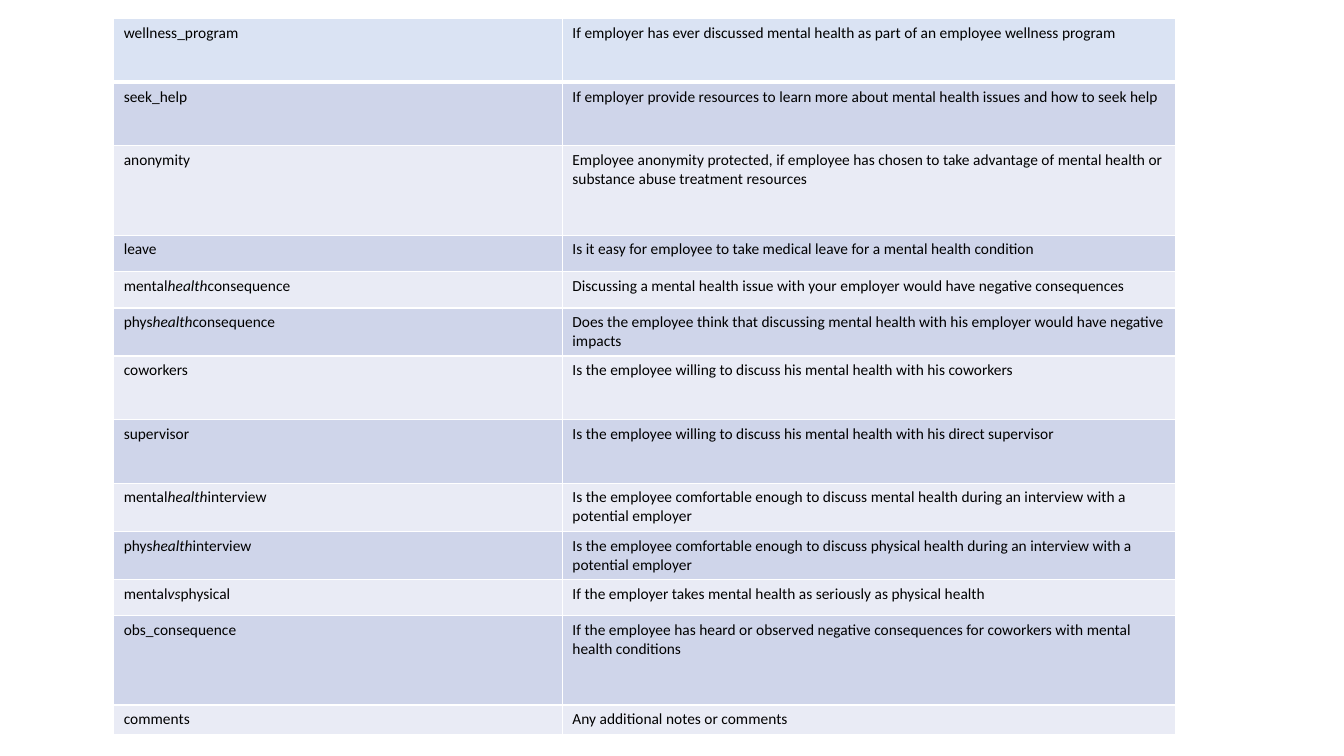
from lxml.etree import SubElement
from pptx import Presentation
from pptx.dml.color import RGBColor
from pptx.oxml.ns import qn
from pptx.util import Pt

HEADER_FILL = "DAE3F3"
BAND_FILLS = ("E9EBF5", "CFD5EA")
WHITE = "FFFFFF"
TEXT_FORMAT = {"name": "Calibri", "size": Pt(11), "bold": False}

COLUMN_WIDTHS = (320.5, 437.7)
# Height, field name (asterisks enclose italics), description
FIELDS = (
    (45.4, "wellness_program",
     "If employer has ever discussed mental health as part of an employee wellness program"),
    (45.4, "seek_help",
     "If employer provide resources to learn more about mental health issues and how to seek help"),
    (63.8, "anonymity",
     "Employee anonymity protected, if employee has chosen to take advantage of mental health "
     "or substance abuse treatment resources"),
    (26, "leave",
     "Is it easy for employee to take medical leave for a mental health condition"),
    (26, "mental*health*consequence",
     "Discussing a mental health issue with your employer would have negative consequences"),
    (34.4, "phys*health*consequence",
     "Does the employee think that discussing mental health with his employer would have "
     "negative impacts"),
    (45.4, "coworkers",
     "Is the employee willing to discuss his mental health with his coworkers"),
    (45.4, "supervisor",
     "Is the employee willing to discuss his mental health with his direct supervisor"),
    (34.4, "mental*health*interview",
     "Is the employee comfortable enough to discuss mental health during an interview with a "
     "potential employer"),
    (34.4, "phys*health*interview",
     "Is the employee comfortable enough to discuss physical health during an interview with a "
     "potential employer"),
    (26, "mental*vs*physical",
     "If the employer takes mental health as seriously as physical health"),
    (63.8, "obs_consequence",
     "If the employee has heard or observed negative consequences for coworkers with mental "
     "health conditions"),
    (20.7, "comments", "Any additional notes or comments"),
)


def rgb(value):
    return RGBColor.from_string(value)


def set_borders(cell, widths):
    """Draw white borders; widths maps side letters (L, R, T, B) to points."""
    tc_pr = cell._tc.get_or_add_tcPr()
    for side, width in widths.items():
        ln = SubElement(tc_pr, qn(f"a:ln{side}"), w=str(Pt(width)))
        fill = SubElement(ln, qn("a:solidFill"))
        SubElement(fill, qn("a:srgbClr"), val=WHITE)


def write_text(cell, text):
    """Write text, with the parts between asterisks in italics."""
    p = cell.text_frame.paragraphs[0]
    for i, part in enumerate(text.split("*")):
        r = p.add_run()
        r.text = part
        for name, value in TEXT_FORMAT.items():
            setattr(r.font, name, value)
        r.font.italic = i % 2 == 1
        r.font.color.rgb = rgb("000000")


def fill_row(table, index, texts):
    header = index == 0
    borders = {"L": 1, "R": 1, "T": 3 if index == 1 else 1, "B": 3 if header else 1}
    for column, text in enumerate(texts):
        cell = table.cell(index, column)
        write_text(cell, text)
        set_borders(cell, borders)
        cell.fill.solid()
        cell.fill.fore_color.rgb = rgb(HEADER_FILL if header else BAND_FILLS[index % 2])


def add_field_table(slide, left, top):
    height = sum(field[0] for field in FIELDS)
    table = slide.shapes.add_table(
        len(FIELDS), len(COLUMN_WIDTHS),
        Pt(left), Pt(top), Pt(sum(COLUMN_WIDTHS)), Pt(height)).table
    for column, width in zip(table.columns, COLUMN_WIDTHS):
        column.width = Pt(width)
    for index, (row_height, *texts) in enumerate(FIELDS):
        table.rows[index].height = Pt(row_height)
        fill_row(table, index, texts)


def main():
    prs = Presentation()
    prs.slide_width, prs.slide_height = Pt(960), Pt(540)
    slide = prs.slides.add_slide(prs.slide_layouts[6])
    add_field_table(slide, 81.2, 13.4)
    prs.save("out.pptx")


if __name__ == "__main__":
    main()
